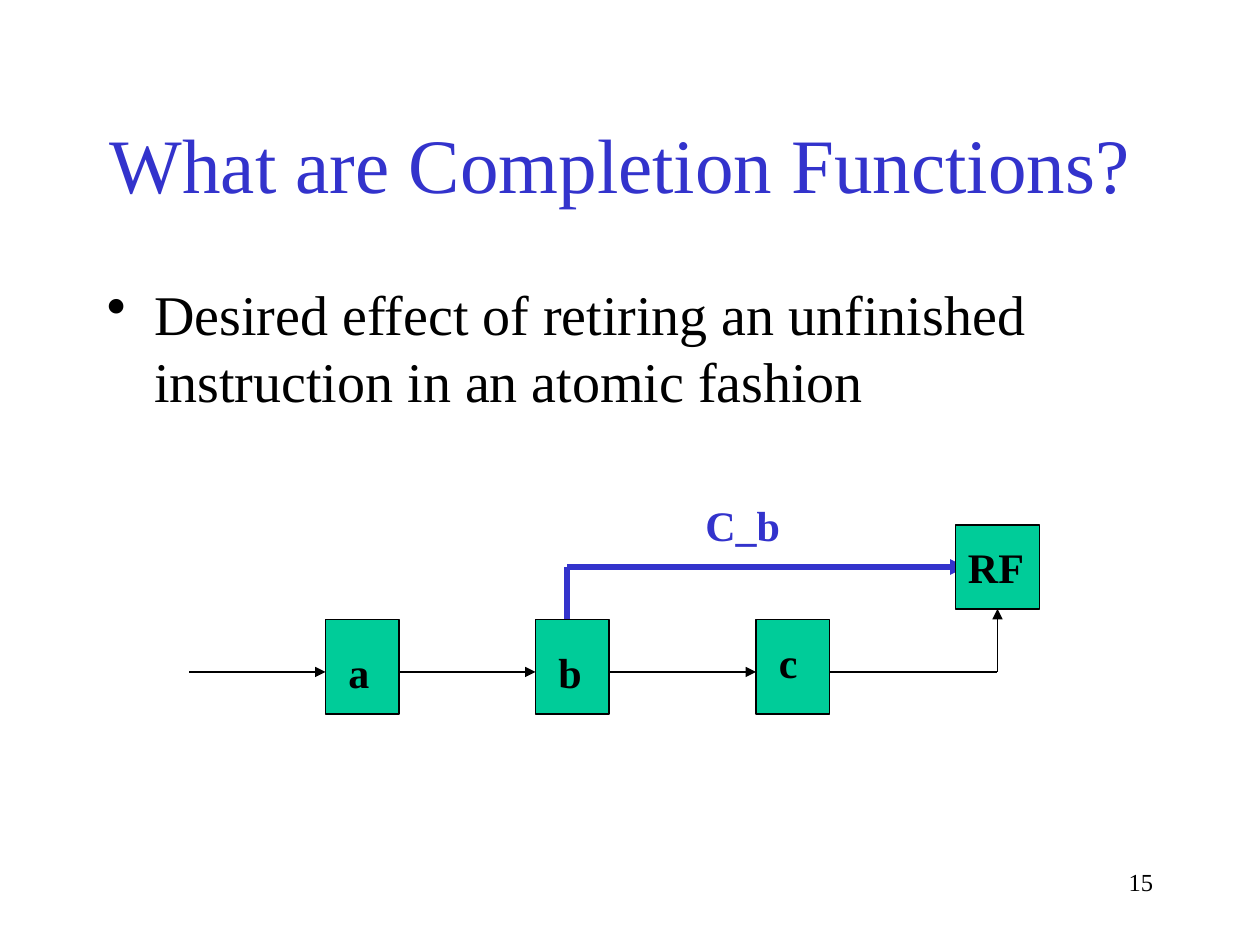
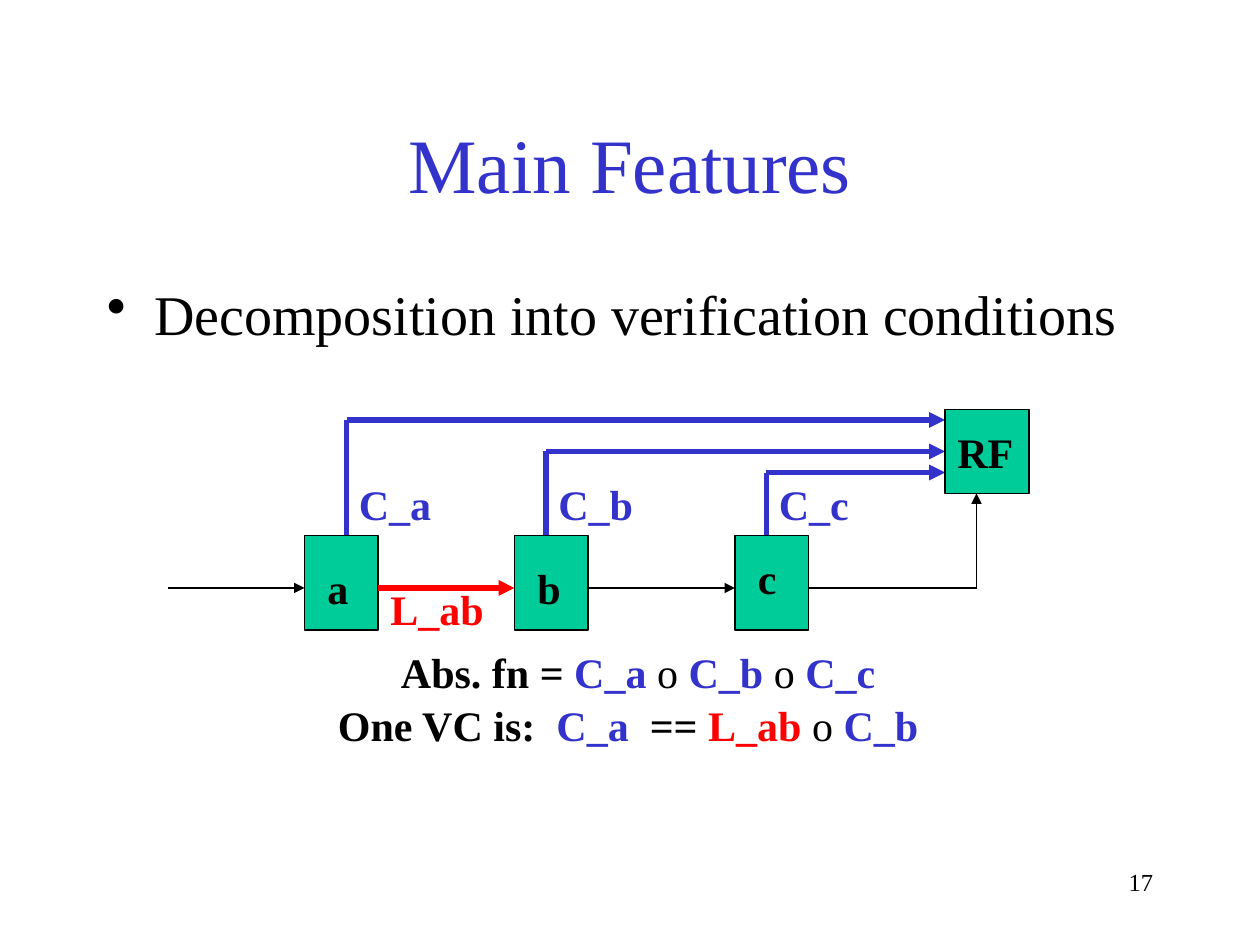
import pptx
import pptx.util
import pptx.dml.color
import pptx.enum.shapes
import pptx.enum.text
import pptx.oxml
import pptx.oxml.ns

Pt = pptx.util.Pt
Align = pptx.enum.text.PP_ALIGN

# Content; lengths are cells of a 120 x 90 grid
COLS, ROWS = 120, 90
FONT = "Times New Roman"
HUES = {"ink": "000000", "blue": "3333CC", "red": "FF0000", "box": "00CC99"}
WIDE = {"a": 4.4, "b": 4.7, "c": 4.2, "RF": 7.8,
        "C_a": 9.4, "C_b": 9.6, "C_c": 9.1, "L_ab": 11.3}
# Each stage: name, columns right of the first stage, label drop
STAGES = [("a", 0, 2), ("b", 20, 2), ("c", 41, 1)]
BOX_W, BOX_H, FLOW, LEAD, RF = 7, 9, 5, 13, 8

# arms: stage, column in its box, row of the bend, end column
# tags: text, column, row, colour; sums: column, row, width, runs
SLIDES = [
    {"title": "What are Completion Functions? ", "page": "15",
     "point": "Desired effect of retiring an unfinished instruction in an atomic fashion",
     "start": (31, 59), "file": (91, 50), "drop": 4, "red": None,
     "arms": [(1, 3, 54, 92)],
     "tags": [("C_b", 66, 47, "blue")],
     "sums": []},
    {"title": "Main Features", "page": "17",
     "point": "Decomposition into verification conditions",
     "start": (29, 51), "file": (90, 39), "drop": 3, "red": 1,
     "arms": [(0, 4, 40, 90), (1, 3, 43, 90), (2, 3, 45, 90)],
     "tags": [("C_a", 33, 45, "blue"), ("C_b", 52, 45, "blue"),
              ("C_c", 73, 45, "blue"), ("L_ab", 36, 55, "red")],
     "sums": [
         (37, 61, 47.6, [("Abs. fn = ", "ink", True), ("C_a ", "blue", True),
                         ("o ", "ink", False), ("C_b ", "blue", True),
                         ("o ", "ink", False), ("C_c", "blue", True)]),
         (31, 66, 57.7, [("One VC is:  ", "ink", True), ("C_a", "blue", True),
                         ("  == ", "ink", True), ("L_ab ", "red", True),
                         ("o ", "ink", False), ("C_b", "blue", True)])]},
]

deck = pptx.Presentation()
deck.slide_width = pptx.util.Inches(10)
deck.slide_height = pptx.util.Inches(7.5)


def grid(*cells):
    return [round(cell * deck.slide_width / COLS) for cell in cells]


def hue(name):
    return pptx.dml.color.RGBColor.from_string(HUES[name])


def style(font, size, color, bold=False):
    font.name, font.size, font.bold = FONT, Pt(size), bold
    font.color.rgb = hue(color)


def text(slide, place, words, size, color="ink", bold=False, wrap=True):
    item = slide.shapes.add_textbox(*grid(*place))
    item.text_frame.word_wrap = wrap
    para = item.text_frame.paragraphs[0]
    para.text = words
    style(para.font, size, color, bold)
    return para


def label(slide, name, x, y, color="ink"):
    text(slide, (x, y, WIDE[name], 6), name, 24, color, True, False)


def block(slide, *place):
    item = slide.shapes.add_shape(
        pptx.enum.shapes.MSO_SHAPE.RECTANGLE, *grid(*place))
    item.shadow.inherit = False
    item.fill.solid()
    item.fill.fore_color.rgb = hue("box")
    item.line.color.rgb = hue("ink")
    item.line.width = Pt(0.75)
    return item


def line(slide, start, end, color="ink", width=0.75, head=True):
    item = slide.shapes.add_connector(
        pptx.enum.shapes.MSO_CONNECTOR.STRAIGHT, *grid(*start, *end))
    item.line.color.rgb = hue(color)
    item.line.width = Pt(width)
    if head:
        pptx.oxml.ns.qn("a:tailEnd")
        tip = pptx.oxml.parse_xml(
            "<a:tailEnd %s type='triangle'/>" % pptx.oxml.ns.nsdecls("a"))
        item.line._get_or_add_ln().append(tip)
    props = item._element.spPr
    props.append(pptx.oxml.parse_xml(
        "<a:effectLst %s/>" % pptx.oxml.ns.nsdecls("a")))
    return item


def frame(slide, data):
    # Title
    title = slide.shapes.title
    title.left, title.top, title.width, title.height = grid(9, 8, 102, 15)
    body = title.text_frame
    body.text = data["title"]
    body.auto_size = pptx.enum.text.MSO_AUTO_SIZE.NONE
    body.vertical_anchor = pptx.enum.text.MSO_ANCHOR.MIDDLE
    para = body.paragraphs[0]
    para.alignment = Align.CENTER
    style(para.font, 44, "blue")
    # Bullet point
    para = text(slide, (9, 26, 102, 54), data["point"], 32)
    para.space_before = Pt(6.4)
    props = para._p.get_or_add_pPr()
    dent = grid(4.5)[0]
    props.set("marL", str(dent))
    props.set("indent", str(-dent))
    props.insert_element_before(pptx.oxml.parse_xml(
        "<a:buChar %s char='•'/>" % pptx.oxml.ns.nsdecls("a")), "a:defRPr")
    # Page number
    text(slide, (86, 82, 25, 6), data["page"], 14).alignment = Align.RIGHT


def draw(slide, data):
    left, top = data["start"]
    xs = [left + shift for _, shift, _ in STAGES]
    # Completion arms
    for stage, inset, bend, end in data["arms"]:
        x = xs[stage] + inset
        line(slide, (x, top), (x, bend), "blue", 3, False)
        line(slide, (x, bend), (end, bend), "blue", 3)
    # Stages and register file
    for x, (name, _, drop) in zip(xs, STAGES):
        block(slide, x, top, BOX_W, BOX_H)
        label(slide, name, x + 1, top + drop)
    rx, ry = data["file"]
    store = block(slide, rx, ry, RF, RF)
    label(slide, "RF", rx, ry + 1)
    # Flow through the stages
    y = top + FLOW
    starts = [left - LEAD] + [x + BOX_W for x in xs]
    for step, (x, end) in enumerate(zip(starts, xs)):
        color, width = ("red", 3) if step == data["red"] else ("ink", 0.75)
        line(slide, (x, y), (end, y), color, width)
    turn = rx + data["drop"]
    line(slide, (starts[-1], y), (turn, y), head=False)
    rise = line(slide, (turn, y), (turn, ry + RF))
    if data["drop"] == RF / 2:
        rise.end_connect(store, 2)
    # Labels and equations
    for tag in data["tags"]:
        label(slide, *tag)
    for x, y, width, runs in data["sums"]:
        para = text(slide, (x, y, width, 6), "", 24, wrap=False)
        for words, color, bold in runs:
            run = para.add_run()
            run.text = words
            style(run.font, 24, color, bold)


def main():
    for data in SLIDES:
        slide = deck.slides.add_slide(deck.slide_layouts[5])
        frame(slide, data)
        draw(slide, data)
    deck.save("out.pptx")


if __name__ == "__main__":
    main()
